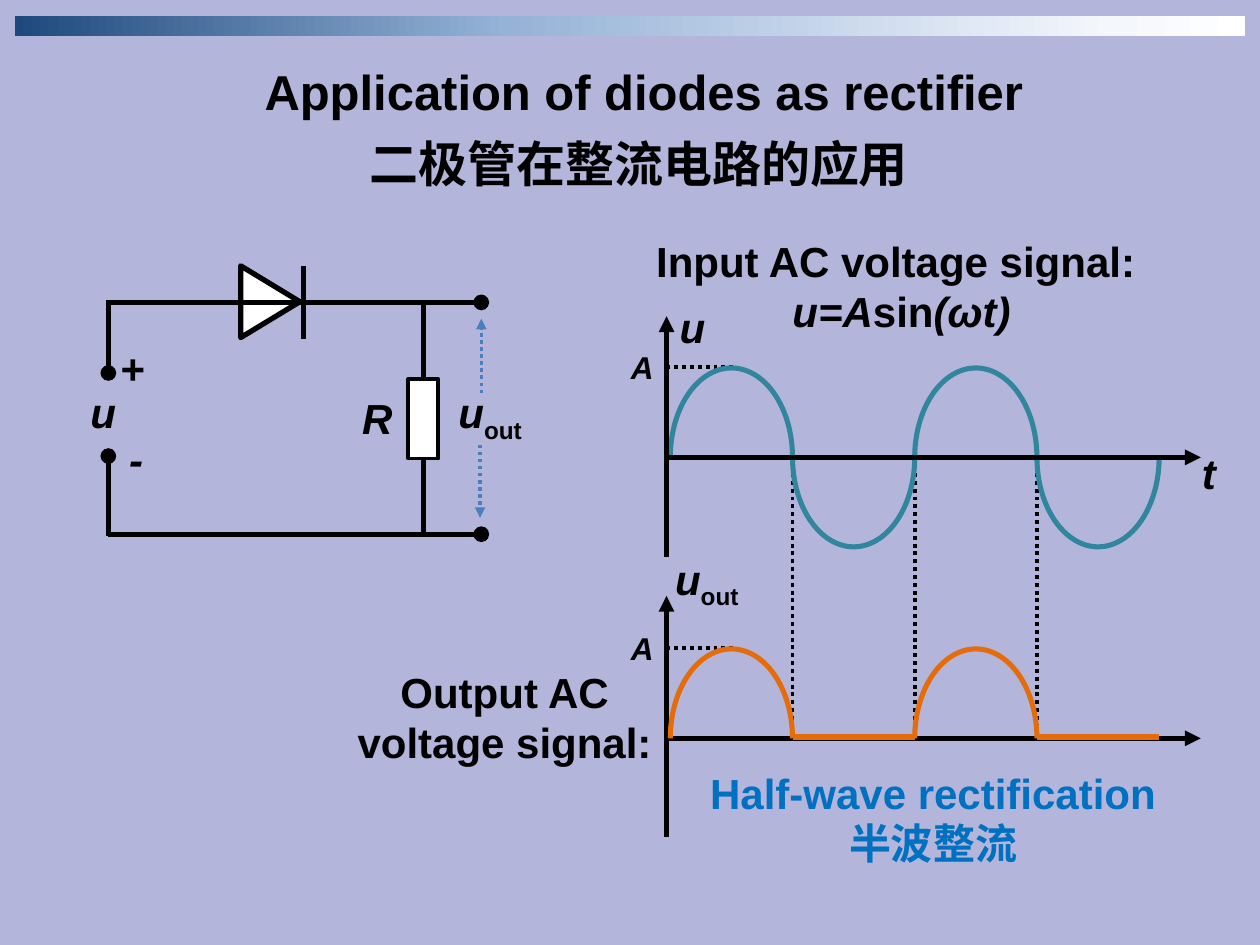
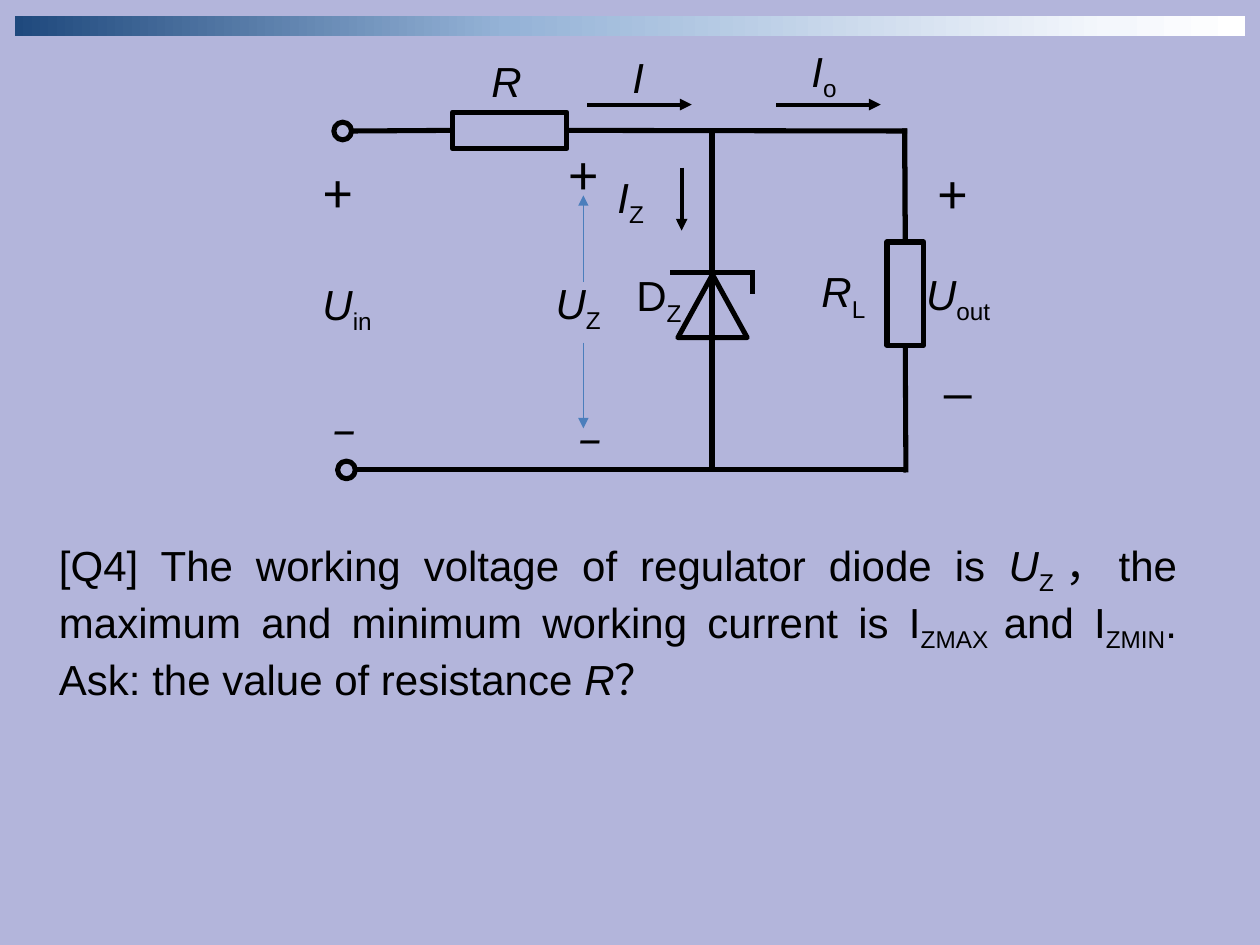
from dataclasses import dataclass
from typing import NamedTuple

from lxml.etree import SubElement
from pptx import Presentation
from pptx.dml.color import RGBColor
from pptx.enum.dml import MSO_LINE
from pptx.enum.shapes import MSO_CONNECTOR, MSO_SHAPE
from pptx.enum.text import MSO_ANCHOR, MSO_AUTO_SIZE, PP_ALIGN
from pptx.oxml.ns import qn
from pptx.util import Inches, Pt

COLORS = {
    "background": "B3B5DB",
    "ink": "000000",
    "white": "FFFFFF",
    "input": "31859C",
    "output": "E46C0A",
    "arrow": "4B7EBC",
    "caption": "0070C0",
}
BAND_STOPS = ((0, "1F497D"), (40, "95B3D7"), (89, "F4F7FC"), (100, "FFFFFF"))
LEFT, CENTER, JUSTIFY = PP_ALIGN.LEFT, PP_ALIGN.CENTER, PP_ALIGN.JUSTIFY

WAVE_LEFT, HALF_PERIOD, AMPLITUDE = 5.32, 0.97, 0.71
AXIS_X, INPUT_Y, OUTPUT_Y = 5.29, 3.63, 5.86


class Run(NamedTuple):
    text: str
    italic: bool = False
    sub: bool = False


@dataclass(frozen=True)
class Label:
    x: float
    y: float
    w: float
    h: float
    paragraphs: tuple[tuple[Run, ...], ...]
    size: int = 24
    bold: bool = False
    color: str = "ink"
    font: str = "Arial"
    align: PP_ALIGN = LEFT
    padded: bool = False


@dataclass(frozen=True)
class Wire:
    x1: float
    y1: float
    x2: float
    y2: float
    width: float = 3
    color: str = "ink"
    dotted: bool = False
    head: str = ""
    tail: str = ""


@dataclass(frozen=True)
class Outline:
    kind: MSO_SHAPE
    x: float
    y: float
    w: float
    h: float
    width: float = 2.88
    color: str = "ink"
    fill: str = ""
    rotation: float = 0


def rgb(name: str) -> RGBColor:
    return RGBColor.from_string(COLORS[name])


def symbol(main: str, sub: str = "", italic: bool = True) -> tuple[tuple[Run, ...], ...]:
    runs = (Run(main, italic),)
    return (runs + (Run(sub, sub=True),) if sub else runs,)


def bold_label(x: float, y: float, w: float, h: float, paragraphs,
               size: int = 24, color: str = "ink", align: PP_ALIGN = CENTER) -> Label:
    return Label(x, y, w, h, paragraphs, size, True, color, align=align, padded=True)


def polarity(x: float, y: float, w: float, sign: str, italic: bool = False) -> Label:
    return Label(x, y, w, 0.53, symbol(sign, italic=italic), size=32, font="Calibri")


def add_label(s, label: Label):
    sp = s.shapes.add_textbox(Inches(label.x), Inches(label.y), Inches(label.w), Inches(label.h))
    tf = sp.text_frame
    tf.word_wrap = True
    if not label.padded:
        tf.margin_left = tf.margin_right = tf.margin_top = tf.margin_bottom = 0
    for i, runs in enumerate(label.paragraphs):
        p = tf.add_paragraph() if i else tf.paragraphs[0]
        p.alignment = label.align
        for run in runs:
            r = p.add_run()
            r.text = run.text
            r.font.name = label.font
            r.font.size = Pt(label.size)
            r.font.bold = label.bold
            r.font.italic = run.italic
            r.font.color.rgb = rgb(label.color)
            if run.sub:
                r.font._element.set("baseline", "-25000")
    return sp


def add_wire(s, wire: Wire):
    c = s.shapes.add_connector(MSO_CONNECTOR.STRAIGHT, Inches(wire.x1), Inches(wire.y1),
                               Inches(wire.x2), Inches(wire.y2))
    c.line.color.rgb = rgb(wire.color)
    c.line.width = Pt(wire.width)
    if wire.dotted:
        c.line.dash_style = MSO_LINE.ROUND_DOT
    props = c._element.spPr
    ln = props.find(qn("a:ln"))
    for tag, end in (("a:headEnd", wire.head), ("a:tailEnd", wire.tail)):
        if end:
            SubElement(ln, qn(tag), type=end)
    SubElement(props, qn("a:effectLst"))
    return c


def add_outline(s, outline: Outline):
    sp = s.shapes.add_shape(outline.kind, Inches(outline.x), Inches(outline.y),
                            Inches(outline.w), Inches(outline.h))
    sp.shadow.inherit = False
    sp.rotation = outline.rotation
    if outline.fill:
        sp.fill.solid()
        sp.fill.fore_color.rgb = rgb(outline.fill)
    else:
        sp.fill.background()
    sp.line.color.rgb = rgb(outline.color)
    sp.line.width = Pt(outline.width)
    return sp


def add_half_wave(s, index: int, base: float, color: str, below: bool = False) -> None:
    x = WAVE_LEFT + index * HALF_PERIOD
    sp = add_outline(s, Outline(MSO_SHAPE.ARC, x, base - AMPLITUDE, HALF_PERIOD,
                                2 * AMPLITUDE, color=color))
    sp.adjustments[0], sp.adjustments[1] = (0, 108) if below else (108, 0)


def add_band(s) -> None:
    sp = s.shapes.add_shape(MSO_SHAPE.RECTANGLE, Inches(0.12), Inches(0.13),
                            Inches(9.76), Inches(0.16))
    sp.shadow.inherit = False
    sp.line.fill.background()
    sp.fill.gradient()
    sp.fill.gradient_angle = 0
    stops = sp._element.spPr.find(qn("a:gradFill")).find(qn("a:gsLst"))
    for old in list(stops):
        stops.remove(old)
    for percent, color in BAND_STOPS:
        stop = SubElement(stops, qn("a:gs"), pos=str(percent * 1000))
        SubElement(stop, qn("a:srgbClr"), val=color)


def new_slide(prs, layout: int):
    s = prs.slides.add_slide(prs.slide_layouts[layout])
    add_band(s)
    return s


def set_title(s, text: str) -> None:
    sp = s.shapes.title
    sp.left, sp.top, sp.width, sp.height = Inches(1.02), Inches(0.44), Inches(8.18), Inches(0.57)
    tf = sp.text_frame
    tf.text = text
    tf.auto_size = MSO_AUTO_SIZE.NONE
    tf.vertical_anchor = MSO_ANCHOR.TOP
    p = tf.paragraphs[0]
    p.alignment = CENTER
    font = p.runs[0].font
    font.name, font.size, font.bold = "Arial", Pt(28), True
    font.color.rgb = rgb("ink")


def build_rectifier_slide(prs) -> None:
    s = new_slide(prs, 5)
    set_title(s, "Application of diodes as rectifier")

    crossings = [WAVE_LEFT + i * HALF_PERIOD for i in range(5)]
    for x in crossings[1:4]:
        add_wire(s, Wire(x, INPUT_Y, x, OUTPUT_Y, 2.25, dotted=True))
    for base in (INPUT_Y, OUTPUT_Y):
        peak = base - 0.72
        add_wire(s, Wire(AXIS_X, peak, AXIS_X + 0.54, peak, 2.25, dotted=True))
        add_label(s, bold_label(4.91, peak - 0.2, 0.44, 0.39, symbol("A"), 18, align=LEFT))
    for i in range(4):
        add_half_wave(s, i, INPUT_Y, "input", below=i % 2 == 1)
    for base, bottom, top in ((INPUT_Y, 4.42, 2.51), (OUTPUT_Y, 6.64, 4.73)):
        add_wire(s, Wire(AXIS_X, base, 9.53, base, tail="triangle"))
        add_wire(s, Wire(AXIS_X, bottom, AXIS_X, top, tail="triangle"))
    for i in (0, 2):
        add_half_wave(s, i, OUTPUT_Y, "output")
        add_wire(s, Wire(crossings[i + 1], 5.85, crossings[i + 2], 5.85, color="output"))

    for wire in (
        Wire(0.86, 3.62, 0.86, 4.25, head="oval"),
        Wire(0.86, 2.38, 0.86, 2.96, tail="oval"),
        Wire(0.86, 4.24, 3.82, 4.24, tail="oval"),
        Wire(3.36, 4.24, 3.36, 2.4),
        Wire(2.41, 2.11, 2.41, 2.69),
    ):
        add_wire(s, wire)
    add_outline(s, Outline(MSO_SHAPE.RECTANGLE, 3.24, 3.01, 0.24, 0.63, 2.25, fill="white"))
    add_outline(s, Outline(MSO_SHAPE.ISOSCELES_TRIANGLE, 1.86, 2.16, 0.57, 0.47, 3,
                           fill="white", rotation=90))
    add_wire(s, Wire(0.86, 2.4, 3.82, 2.4, tail="oval"))
    for x, start, end in ((3.82, 3.12, 2.53), (3.81, 3.53, 4.11)):
        add_wire(s, Wire(x, start, x, end, 2, "arrow", dotted=True, tail="triangle"))

    formula = (Run("u=A", True), Run("sin"), Run("(ωt)", True))
    for label in (
        bold_label(0.98, 1.01, 8.18, 0.57, ((Run("二极管在整流电路的应用"),),), 28),
        bold_label(4.61, 1.82, 5.09, 0.91, ((Run("Input AC voltage signal: "),), formula)),
        bold_label(2.61, 5.24, 2.79, 0.88, ((Run("Output AC voltage signal:"),),)),
        bold_label(4.86, 6.04, 5.09, 0.88,
                   ((Run("Half-wave rectification"),), (Run("半波整流"),)), color="caption"),
        bold_label(2.63, 3.07, 0.73, 0.5, symbol("R")),
        bold_label(0.49, 3.02, 0.66, 0.5, symbol("u")),
        bold_label(0.72, 2.67, 0.66, 0.5, symbol("+")),
        bold_label(0.75, 3.39, 0.66, 0.5, symbol("-")),
        bold_label(9.16, 3.5, 0.87, 0.5, symbol("t")),
        bold_label(5.06, 2.34, 0.87, 0.5, symbol("u")),
        bold_label(5.11, 4.34, 1, 0.59, symbol("u", "out")),
        bold_label(3.39, 3.02, 1, 0.59, symbol("u", "out")),
    ):
        add_label(s, label)


def build_regulator_slide(prs) -> None:
    s = new_slide(prs, 6)
    series = add_outline(s, Outline(MSO_SHAPE.RECTANGLE, 3.59, 0.89, 0.91, 0.29))
    load = add_outline(s, Outline(MSO_SHAPE.RECTANGLE, 7.04, 1.92, 0.29, 0.82, 3))
    add_outline(s, Outline(MSO_SHAPE.ISOSCELES_TRIANGLE, 5.38, 2.18, 0.55, 0.5))
    for x, y in ((2.65, 0.97), (2.68, 3.66)):
        add_outline(s, Outline(MSO_SHAPE.OVAL, x, y, 0.14, 0.14))

    for wire, box, site in (
        (Wire(2.79, 1.04, 3.59, 1.04, 2.88), series, 1),
        (Wire(7.2, 1.04, 4.5, 1.04, 2.88), series, 3),
        (Wire(7.18, 1.02, 7.18, 1.92), load, 0),
        (Wire(7.19, 3.75, 7.19, 2.74, 2.88), load, 2),
    ):
        add_wire(s, wire).end_connect(box, site)
    for wire in (
        Wire(5.65, 1.04, 5.65, 3.73),
        Wire(7.21, 3.73, 2.82, 3.73, 2.88),
        Wire(5.32, 2.16, 5.99, 2.16, 2.88),
        Wire(5.97, 2.15, 5.97, 2.33, 2.88),
        Wire(4.66, 0.83, 5.49, 0.83, 2.25, tail="triangle"),
        Wire(6.16, 0.83, 6.99, 0.83, 2.25, tail="triangle"),
        Wire(5.41, 1.33, 5.41, 1.83, 2.25, tail="triangle"),
        Wire(4.63, 2.24, 4.63, 1.55, 0.75, "arrow", tail="triangle"),
        Wire(4.63, 2.72, 4.63, 3.4, 0.75, "arrow", tail="triangle"),
    ):
        add_wire(s, wire)

    question = (
        Run("[Q4] The working voltage of regulator diode is "), Run("U", True),
        Run("Z", sub=True), Run("，the maximum and minimum working current is I"),
        Run("ZMAX ", sub=True), Run("and I"), Run("ZMIN", sub=True),
        Run(". Ask: the value of resistance "), Run("R", True), Run("？"),
    )
    for label in (
        Label(0.37, 4.23, 9.07, 1.46, (question,), align=JUSTIFY, padded=True),
        Label(5.05, 2.14, 0.54, 0.49, symbol("D", "Z", italic=False)),
        Label(4.9, 1.36, 0.32, 0.39, symbol("I", "Z")),
        Label(6.52, 2.11, 0.44, 0.39, symbol("R", "L")),
        Label(7.35, 2.13, 0.74, 0.39, symbol("U", "out")),
        Label(2.56, 2.21, 0.56, 0.39, symbol("U", "in")),
        Label(4.41, 2.2, 0.5, 0.49, symbol("U", "Z")),
        Label(3.9, 0.44, 0.29, 0.39, symbol("R")),
        Label(5.02, 0.41, 0.17, 0.39, symbol("I")),
        Label(6.44, 0.36, 0.32, 0.39, symbol("I", "o")),
        polarity(7.45, 1.25, 0.26, "+"),
        polarity(7.49, 2.66, 0.18, "_"),
        polarity(2.57, 1.24, 0.26, "+"),
        polarity(2.64, 2.95, 0.29, "_", italic=True),
        polarity(4.52, 1.1, 0.26, "+"),
        polarity(4.59, 3.02, 0.17, "_", italic=True),
    ):
        add_label(s, label)


def main() -> None:
    prs = Presentation()
    prs.slide_width, prs.slide_height = Inches(10), Inches(7.5)
    fill = prs.slide_master.background.fill
    fill.solid()
    fill.fore_color.rgb = rgb("background")
    build_rectifier_slide(prs)
    build_regulator_slide(prs)
    prs.save("out.pptx")


if __name__ == "__main__":
    main()
